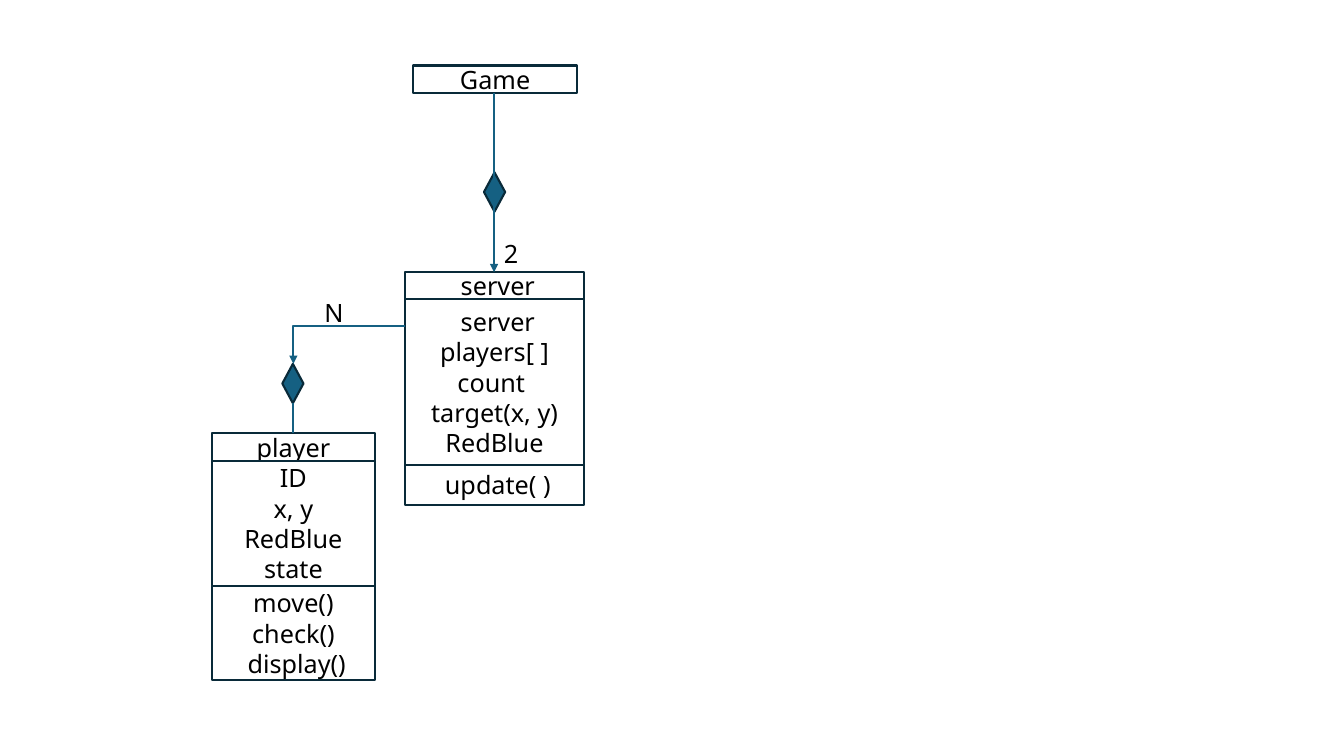
from pptx import Presentation
from pptx.dml.color import RGBColor
from pptx.enum.shapes import MSO_CONNECTOR, MSO_SHAPE
from pptx.enum.text import MSO_ANCHOR, MSO_AUTO_SIZE, PP_ALIGN
from pptx.oxml.ns import qn
from pptx.util import Inches, Pt
from lxml import etree

RECT = MSO_SHAPE.RECTANGLE
GEM = MSO_SHAPE.FLOWCHART_DECISION
LINE = MSO_CONNECTOR.STRAIGHT
BENT = MSO_CONNECTOR.ELBOW
MID = MSO_ANCHOR.MIDDLE
GROW = MSO_AUTO_SIZE.SHAPE_TO_FIT_TEXT
LEFT, MIDDLE = PP_ALIGN.LEFT, PP_ALIGN.CENTER

HEX = {"paper": "FFFFFF", "ink": "000000", "edge": "092A39", "teal": "156082"}
RGB = {name: RGBColor.from_string(code) for name, code in HEX.items()}
CELL = Inches(0.01)
COLS, ROWS = 1333, 750

deck = Presentation()
deck.slide_width, deck.slide_height = COLS * CELL, ROWS * CELL
slide = deck.slides.add_slide(deck.slide_layouts[6])


def draw(kind, fill, col, row, wide, high):
    shape = slide.shapes.add_shape(kind, *(n * CELL for n in (col, row, wide, high)))
    shape.shadow.inherit = False
    shape.fill.solid()
    shape.fill.fore_color.rgb = RGB[fill]
    shape.line.color.rgb = RGB["edge"]
    shape.line.width = Pt(1.5)
    return shape


def write(frame, lines, align):
    frame.word_wrap = True
    for i, line in enumerate(lines):
        para = frame.paragraphs[0] if i == 0 else frame.add_paragraph()
        para.text = line
        para.alignment = align
        para.font.name = "Noto Sans"
        para.font.size = Pt(18)
        para.font.color.rgb = RGB["ink"]


HEAD = 27
stacks = [
    (410, 65, 162, [(HEAD, ["Game"])]),
    (402, 270, 177, [
        (HEAD, [" server"]),
        (164, [" server", "players[ ]", "count ", "target(x, y)", "RedBlue"]),
        (40, [" update( )"]),
    ]),
    (210, 430, 162, [
        (HEAD, ["player"]),
        (124, ["ID", "x, y", "RedBlue", "state"]),
        (94, ["move()", "check()", " display()"]),
    ]),
]
for col, row, wide, parts in stacks:
    for high, lines in parts:
        box = draw(RECT, "paper", col, row, wide, high)
        box.text_frame.vertical_anchor = MID
        write(box.text_frame, lines, MIDDLE)
        row += high

for col, row in [(280, 361), (480, 171)]:
    draw(GEM, "teal", col, row, 21, 39)

links = [
    (BENT, 402, 323, 291, 361, True),
    (LINE, 291, 400, 291, 430, False),
    (LINE, 490, 92, 490, 270, True),
]
for kind, *ends, arrow in links:
    link = slide.shapes.add_connector(kind, *(n * CELL for n in ends))
    link.line.color.rgb = RGB["teal"]
    link.line.width = Pt(1.5)
    props = link._element.spPr
    if kind == BENT:
        props.find(qn("a:prstGeom")).set("prst", "bentConnector2")
    if arrow:
        etree.SubElement(props.find(qn("a:ln")), qn("a:tailEnd"), type="triangle")
    etree.SubElement(props, qn("a:effectLst"))

for text, *place in [("N", 312, 290, 90, 40), ("2", 490, 232, 44, 40)]:
    label = slide.shapes.add_textbox(*(n * CELL for n in place))
    write(label.text_frame, [text], LEFT)
    label.text_frame.auto_size = GROW

deck.save("out.pptx")
